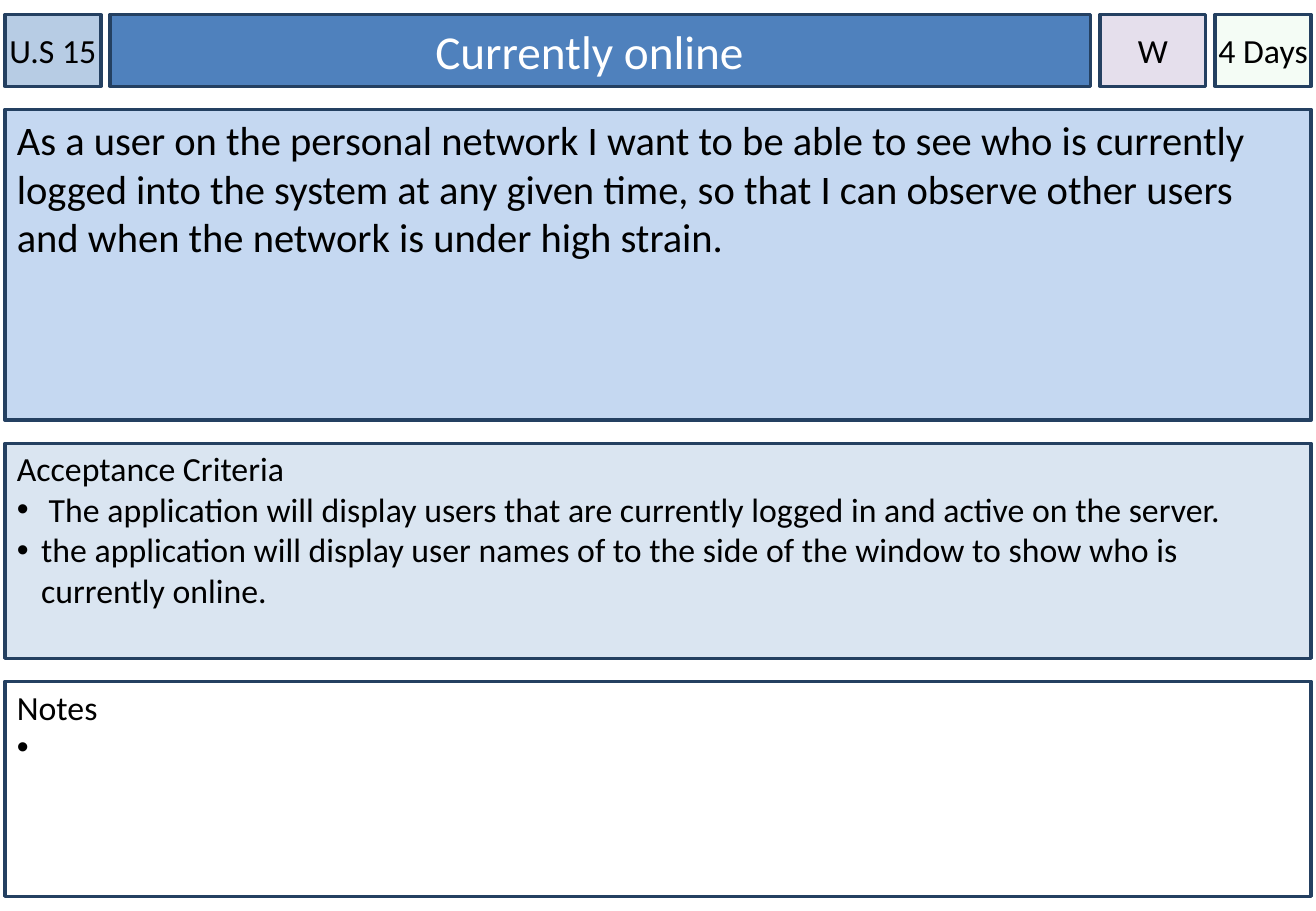
from dataclasses import dataclass

from lxml.etree import SubElement
from pptx import Presentation
from pptx.dml.color import RGBColor
from pptx.enum.shapes import MSO_SHAPE as Preset
from pptx.enum.text import MSO_ANCHOR as Anchor, PP_ALIGN as Align
from pptx.oxml.ns import qn
from pptx.slide import Slide
from pptx.text.text import TextFrame
from pptx.util import Inches, Pt


@dataclass(frozen=True)
class Theme:
    font: str = "Calibri"
    text: str = "000000"
    title_text: str = "FFFFFF"
    border: str = "244061"
    story_id: str = "B7CCE4"
    title: str = "4F81BD"
    priority: str = "E5DFEC"
    estimate: str = "CCF0CD"
    story: str = "C5D8F1"
    criteria: str = "DAE5F1"
    notes: str = "FFFFFF"
    body_size: int = 20
    story_size: int = 24
    title_size: int = 28
    border_width: int = 2


THEME = Theme()


@dataclass(frozen=True)
class HeaderCell:
    text: str
    width: float
    fill: str
    size: int = THEME.body_size
    color: str = THEME.text
    left_inset: float = 0
    right_inset: float = 0
    opacity: int = 100


@dataclass(frozen=True)
class Panel:
    text: str
    height: float
    fill: str
    bullets: tuple[str, ...] = ()
    size: int = THEME.body_size
    top_inset: float = 0.04


LEFT, TOP, WIDTH = 0.04, 0.12, 10.75
HEADER_HEIGHT, ROW_GAP = 0.59, 0.19
BULLET_INDENT = 0.2

HEADER = (
    HeaderCell("U.S 15", 0.79, THEME.story_id),
    # The wider right inset sets the title slightly left of centre
    HeaderCell("Currently online", 8.07, THEME.title, THEME.title_size,
               THEME.title_text, left_inset=0.1, right_inset=0.28),
    HeaderCell("W", 0.87, THEME.priority),
    HeaderCell("4 Days", 0.79, THEME.estimate, opacity=20),
)

PANELS = (
    Panel("As a user on the personal network I want to be able to see who is "
          "currently logged into the system at any given time, so that I can "
          "observe other users and when the network is under high strain.",
          2.56, THEME.story, size=THEME.story_size, top_inset=0.05),
    Panel("Acceptance Criteria", 1.77, THEME.criteria, (
        " The application will display users that are currently logged in "
        "and active on the server.",
        "the application will display user names of to the side of the "
        "window to show who is currently online.")),
    Panel("Notes", 1.77, THEME.notes, (" ",)),
)


def add_box(slide: Slide, left: float, top: float, width: float, height: float,
            fill: str, insets: tuple[float, float, float, float],
            anchor: Anchor = Anchor.TOP, opacity: int = 100) -> TextFrame:
    """Draw a bordered rectangle and return its text frame."""
    shape = slide.shapes.add_shape(Preset.RECTANGLE, Inches(left), Inches(top),
                                   Inches(width), Inches(height))
    shape.shadow.inherit = False
    shape.fill.solid()
    shape.fill.fore_color.rgb = RGBColor.from_string(fill)
    if opacity < 100:
        color = shape.fill._xPr.find(qn("a:solidFill"))[0]
        SubElement(color, qn("a:alpha"), val=str(opacity * 1000))
    shape.line.color.rgb = RGBColor.from_string(THEME.border)
    shape.line.width = Pt(THEME.border_width)
    frame = shape.text_frame
    frame.word_wrap = True
    frame.vertical_anchor = anchor
    (frame.margin_left, frame.margin_top,
     frame.margin_right, frame.margin_bottom) = map(Inches, insets)
    return frame


def write(frame: TextFrame, text: str, *, size: int = THEME.body_size,
          color: str = THEME.text, align: Align = Align.LEFT,
          bullet: bool = False) -> None:
    """Fill the empty first paragraph, or append a new one."""
    first = frame.paragraphs[0]
    paragraph = frame.add_paragraph() if first.runs else first
    paragraph.alignment = align
    run = paragraph.add_run()
    run.text = text
    run.font.name = THEME.font
    run.font.size = Pt(size)
    run.font.color.rgb = RGBColor.from_string(color)
    if bullet:
        properties = paragraph._p.get_or_add_pPr()
        properties.set("marL", str(Inches(BULLET_INDENT)))
        properties.set("indent", str(-Inches(BULLET_INDENT)))
        SubElement(properties, qn("a:buFont"), typeface="Arial")
        SubElement(properties, qn("a:buChar"), char="•")


def add_header(slide: Slide) -> None:
    """Spread the header cells evenly over the card width."""
    gap = (WIDTH - sum(cell.width for cell in HEADER)) / (len(HEADER) - 1)
    left = LEFT
    for cell in HEADER:
        frame = add_box(slide, left, TOP, cell.width, HEADER_HEIGHT, cell.fill,
                        (cell.left_inset, 0.05, cell.right_inset, 0.05),
                        Anchor.MIDDLE, cell.opacity)
        write(frame, cell.text, size=cell.size, color=cell.color,
              align=Align.CENTER)
        left += cell.width + gap


def add_panels(slide: Slide) -> None:
    """Stack the full-width panels below the header."""
    top = TOP + HEADER_HEIGHT + ROW_GAP
    for panel in PANELS:
        frame = add_box(slide, LEFT, top, WIDTH, panel.height, panel.fill,
                        (0.1, panel.top_inset, 0.1, 0.05))
        write(frame, panel.text, size=panel.size)
        for item in panel.bullets:
            write(frame, item, size=panel.size, bullet=True)
        top += panel.height + ROW_GAP


# Story card
presentation = Presentation()
presentation.slide_width = Inches(10.83)
presentation.slide_height = Inches(7.5)
card = presentation.slides.add_slide(presentation.slide_layouts[6])
add_header(card)
add_panels(card)
presentation.save("out.pptx")
